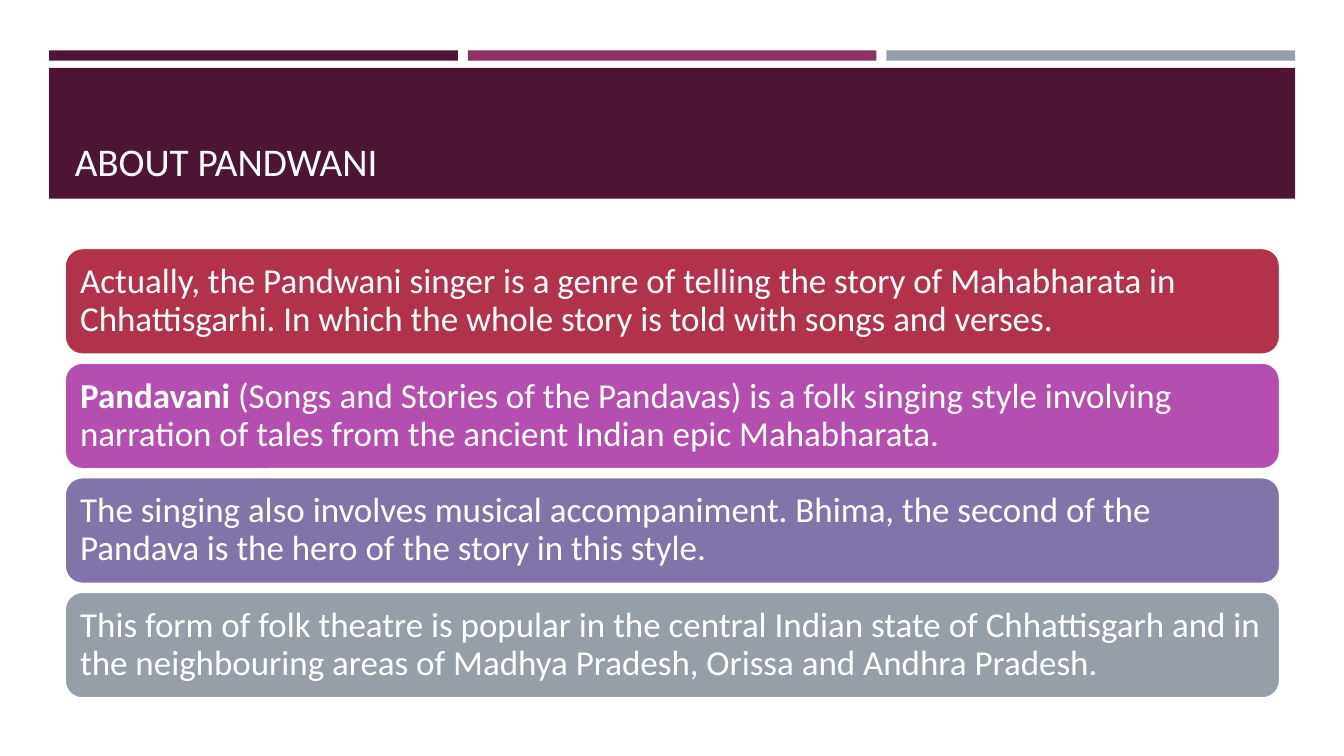
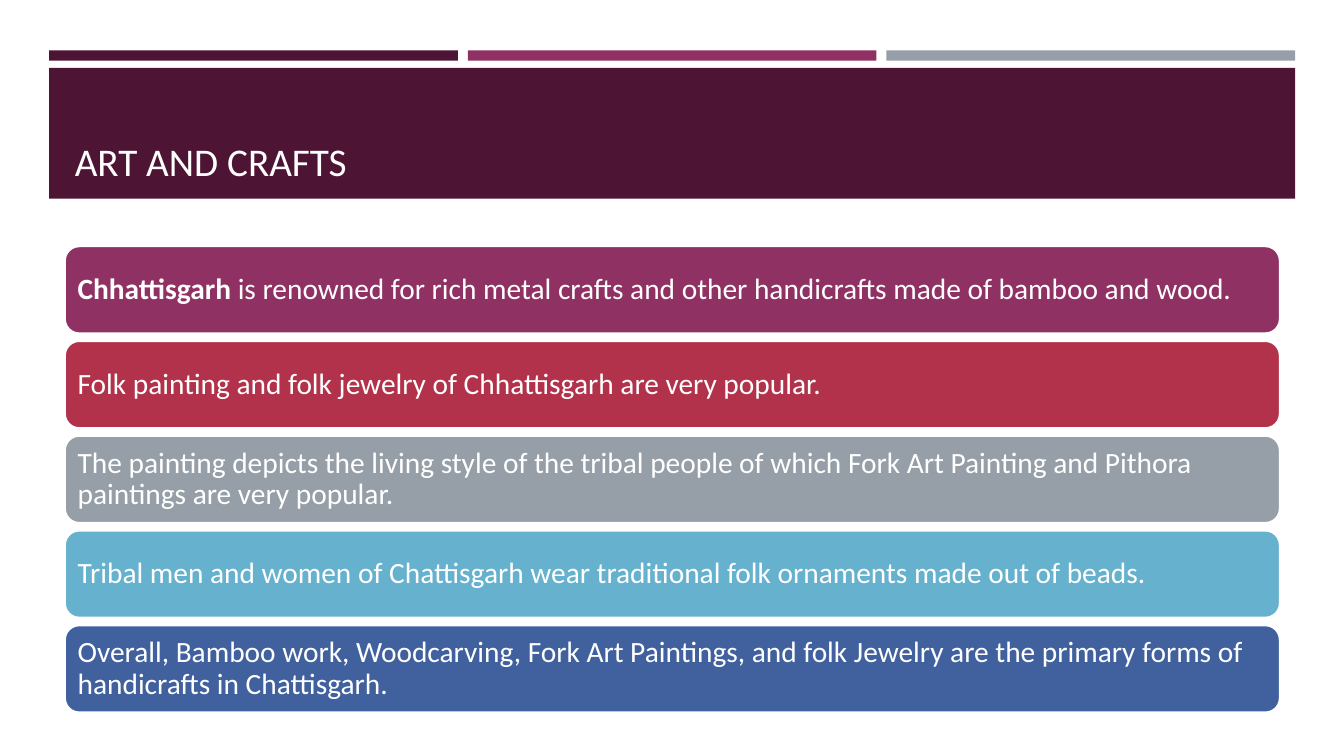
from collections import namedtuple

from pptx import Presentation
from pptx.dml.color import RGBColor
from pptx.enum.shapes import MSO_SHAPE as Shape
from pptx.enum.text import MSO_ANCHOR as Anchor, MSO_AUTO_SIZE as AutoSize, PP_ALIGN as Align
from pptx.util import Cm, Pt

Box = namedtuple("Box", "left top width height")

FONT = "Calibri"
WHITE = RGBColor(0xFF, 0xFF, 0xFF)
PLUM = RGBColor(0x4D, 0x14, 0x34)
BERRY = RGBColor(0x90, 0x31, 0x63)
GREY = RGBColor(0x96, 0x9F, 0xA7)
RED = RGBColor(0xB2, 0x32, 0x4B)
ORCHID = RGBColor(0xB4, 0x4E, 0xB1)
VIOLET = RGBColor(0x82, 0x74, 0xAB)
SKY = RGBColor(0x66, 0xB1, 0xCE)
BLUE = RGBColor(0x40, 0x61, 0x9D)

HEADER = Box(1.24, 1.27, 31.4, 3.74)
STRIP_HEIGHT = 0.26
STRIP_GAP = 0.25
BAND_OFFSET = 0.44

PANDWANI = [
    (RED, "", "Actually, the Pandwani singer is a genre of telling the story of Mahabharata in "
     "Chhattisgarhi. In which the whole story is told with songs and verses."),
    (ORCHID, "Pandavani", " (Songs and Stories of the Pandavas) is a folk singing style involving "
     "narration of tales from the ancient Indian epic Mahabharata."),
    (VIOLET, "", "The singing also involves musical accompaniment. Bhima, the second of "
     "the Pandava is the hero of the story in this style."),
    (GREY, "", "This form of folk theatre is popular in the central Indian state of "
     "Chhattisgarh and in the neighbouring areas of Madhya Pradesh, Orissa and "
     "Andhra Pradesh."),
]
CRAFTS = [
    (BERRY, "Chhattisgarh", " is renowned for rich metal crafts and other handicrafts "
     "made of bamboo and wood."),
    (RED, "", "Folk painting and folk jewelry of Chhattisgarh are very popular."),
    (GREY, "", "The painting depicts the living style of the tribal people of which "
     "Fork Art Painting and Pithora paintings are very popular."),
    (SKY, "", "Tribal men and women of Chattisgarh wear traditional folk ornaments "
     "made out of beads."),
    (BLUE, "", "Overall, Bamboo work, Woodcarving, Fork Art Paintings, and folk Jewelry "
     "are the primary forms of handicrafts in Chattisgarh."),
]


def add_block(page, kind, box, color):
    block = page.shapes.add_shape(kind, *(Cm(length) for length in box))
    block.shadow.inherit = False
    block.fill.solid()
    block.fill.fore_color.rgb = color
    block.line.fill.background()
    return block


def add_header(page, box):
    colors = [PLUM, BERRY, GREY]
    width = (box.width - STRIP_GAP * (len(colors) - 1)) / len(colors)
    for index, color in enumerate(colors):
        left = box.left + index * (width + STRIP_GAP)
        add_block(page, Shape.RECTANGLE, Box(left, box.top, width, STRIP_HEIGHT), color)
    band = Box(box.left, box.top + BAND_OFFSET, box.width, box.height - BAND_OFFSET)
    add_block(page, Shape.RECTANGLE, band, PLUM)


def place_title(page, text, box):
    title = page.shapes.title
    title.left, title.top = Cm(box.left + 0.39), Cm(box.top + 0.69)
    title.width, title.height = Cm(box.width - 0.78), Cm(box.height - 0.93)
    page.shapes.element.append(title.element)
    frame = title.text_frame
    frame.text = text
    frame.auto_size = AutoSize.NONE
    frame.vertical_anchor = Anchor.BOTTOM
    para = frame.paragraphs[0]
    para.alignment = Align.LEFT
    para.font.name, para.font.size = FONT, Pt(28)
    para.font.color.rgb = WHITE


def add_card(page, box, color, lead, text, size, inset):
    card = add_block(page, Shape.ROUNDED_RECTANGLE, box, color)
    card.line.color.rgb = WHITE
    card.line.width = Pt(1.75)
    frame = card.text_frame
    frame.word_wrap = True
    frame.vertical_anchor = Anchor.MIDDLE
    frame.margin_left = frame.margin_right = Cm(inset)
    frame.margin_top = frame.margin_bottom = Cm(inset)
    para = frame.paragraphs[0]
    para.alignment = Align.LEFT
    para.line_spacing = 0.9
    for words, bold in ((lead, True), (text, False)):
        if words:
            span = para.add_run()
            span.text = words
            span.font.name, span.font.size, span.font.bold = FONT, Pt(size), bold
            span.font.color.rgb = WHITE


def add_cards(page, box, cards, gap, size, inset):
    height = (box.height - gap * (len(cards) - 1)) / len(cards)
    for index, (color, lead, text) in enumerate(cards):
        row = Box(box.left, box.top + index * (height + gap), box.width, height)
        add_card(page, row, color, lead, text, size, inset)


def add_card_page(deck, title, box, cards, gap, size, inset):
    page = deck.slides.add_slide(deck.slide_layouts[5])
    add_header(page, HEADER)
    place_title(page, title, HEADER)
    add_cards(page, box, cards, gap, size, inset)


def main():
    deck = Presentation()
    deck.slide_width, deck.slide_height = Cm(33.87), Cm(19.05)
    add_card_page(deck, "ABOUT PANDWANI", Box(1.63, 6.25, 30.63, 11.35), PANDWANI, 0.2, 25, 0.26)
    add_card_page(deck, "ART AND CRAFTS", Box(1.63, 6.2, 30.63, 11.76), CRAFTS, 0.18, 21, 0.22)
    deck.save("out.pptx")


if __name__ == "__main__":
    main()
